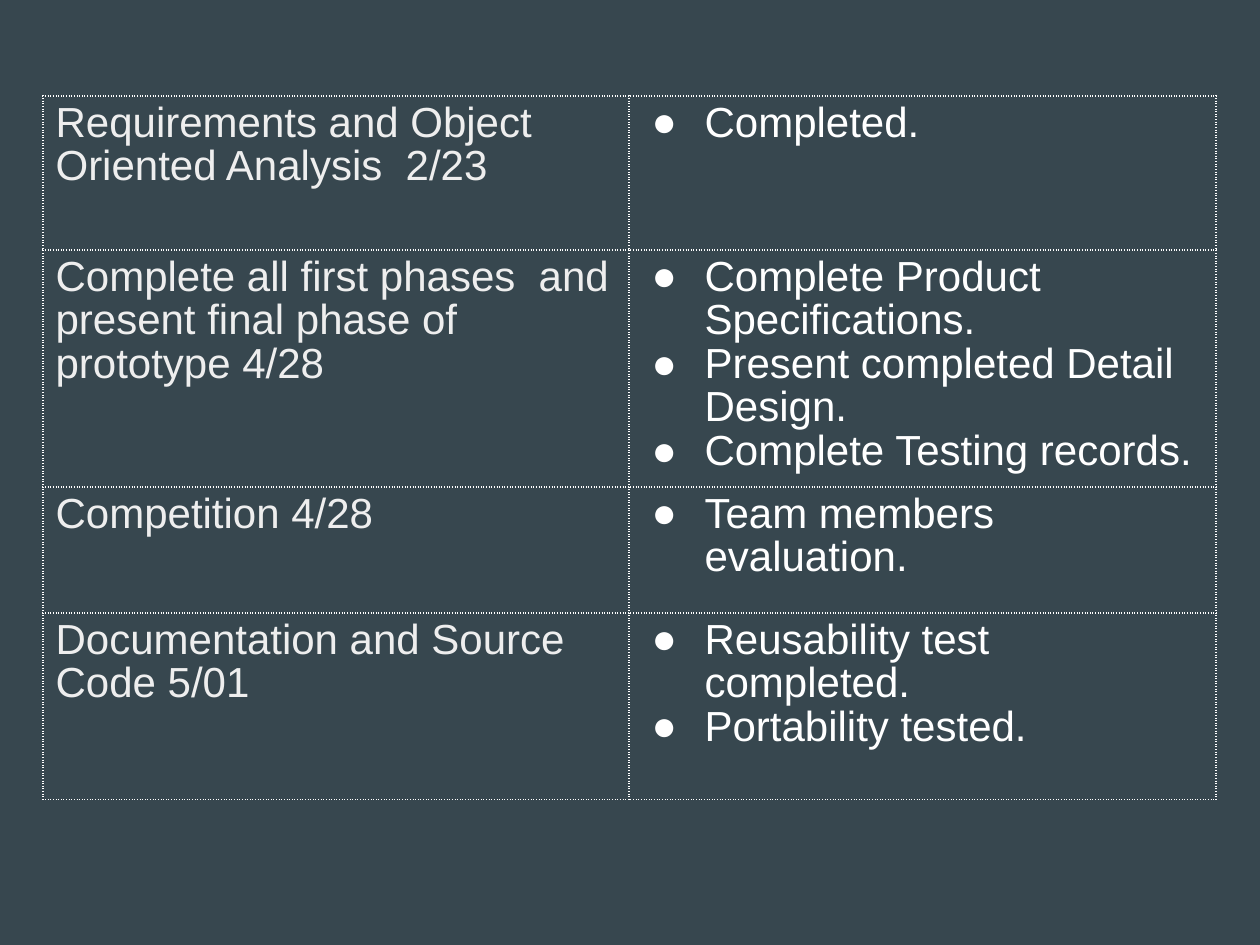
from dataclasses import dataclass

from pptx import Presentation
from pptx import util as u
from pptx.dml.color import RGBColor
from pptx.oxml import parse_xml
from pptx.oxml.ns import nsdecls

SCALE = 914400 / 126


@dataclass(frozen=True)
class Theme:
    back: str = "37474F"
    goal: str = "EEEEEE"
    note: str = "FFFFFF"
    rule: str = "FFFFFF"
    font: str = "Arial"
    size: int = 24
    lead: float = 0.93


@dataclass(frozen=True)
class Phase:
    goal: str
    notes: tuple[str, ...]
    height: int


THEME = Theme()
LEFT, TOP = 43, 96
COLS = (586, 587)
MARGIN, HANG = 63, 53
PHASES = (
    Phase("Requirements and Object Oriented Analysis  2/23", ("Completed.",), 154),
    Phase("Complete all first phases  and present final phase of prototype 4/28",
          ("Complete Product Specifications.", "Present completed Detail Design.",
           "Complete Testing records."), 237),
    Phase("Competition 4/28", ("Team members evaluation.",), 126),
    Phase("Documentation and Source Code 5/01",
          ("Reusability test completed.", "Portability tested."), 187),
)


def px(n: int) -> int:
    return u.Emu(round(n * SCALE))


def add_bullet(para) -> None:
    props = para._p.get_or_add_pPr()
    props.set("marL", str(px(MARGIN)))
    props.set("indent", str(-px(HANG)))
    for tag in (
        f'<a:buClr {nsdecls("a")}><a:srgbClr val="{THEME.note}"/></a:buClr>',
        f'<a:buFont {nsdecls("a")} typeface="{THEME.font}"/>',
        f'<a:buChar {nsdecls("a")} char="●"/>',
    ):
        props.append(parse_xml(tag))


def add_rules(cell) -> None:
    """Draw a dotted line on all four sides of the cell."""
    props = cell._tc.get_or_add_tcPr()
    for i, side in enumerate("LRTB"):
        props.insert(i, parse_xml(
            f'<a:ln{side} {nsdecls("a")} w="{u.Pt(0.75)}">'
            f'<a:solidFill><a:srgbClr val="{THEME.rule}"/></a:solidFill>'
            f'<a:prstDash val="dot"/></a:ln{side}>'))


def fill_cell(cell, lines: tuple[str, ...], color: str, listed: bool) -> None:
    cell.fill.background()
    add_rules(cell)
    frame = cell.text_frame
    frame.text = "\n".join(lines)
    for para in frame.paragraphs:
        para.line_spacing = THEME.lead
        para.font.name = THEME.font
        para.font.size = u.Pt(THEME.size)
        para.font.color.rgb = RGBColor.from_string(color)
        if listed:
            add_bullet(para)


def add_plan(slide) -> None:
    total = sum(phase.height for phase in PHASES)
    table = slide.shapes.add_table(len(PHASES), len(COLS), px(LEFT), px(TOP),
                                   px(sum(COLS)), px(total)).table
    table.first_row = table.horz_banding = False
    for col, width in zip(table.columns, COLS):
        col.width = px(width)
    for i, phase in enumerate(PHASES):
        table.rows[i].height = px(phase.height)
        fill_cell(table.cell(i, 0), (phase.goal,), THEME.goal, False)
        fill_cell(table.cell(i, 1), phase.notes, THEME.note, True)


def main() -> None:
    deck = Presentation()
    deck.slide_width, deck.slide_height = px(1260), px(945)
    slide = deck.slides.add_slide(deck.slide_layouts[6])
    fill = slide.background.fill
    fill.solid()
    fill.fore_color.rgb = RGBColor.from_string(THEME.back)
    add_plan(slide)
    deck.save("out.pptx")


if __name__ == "__main__":
    main()
